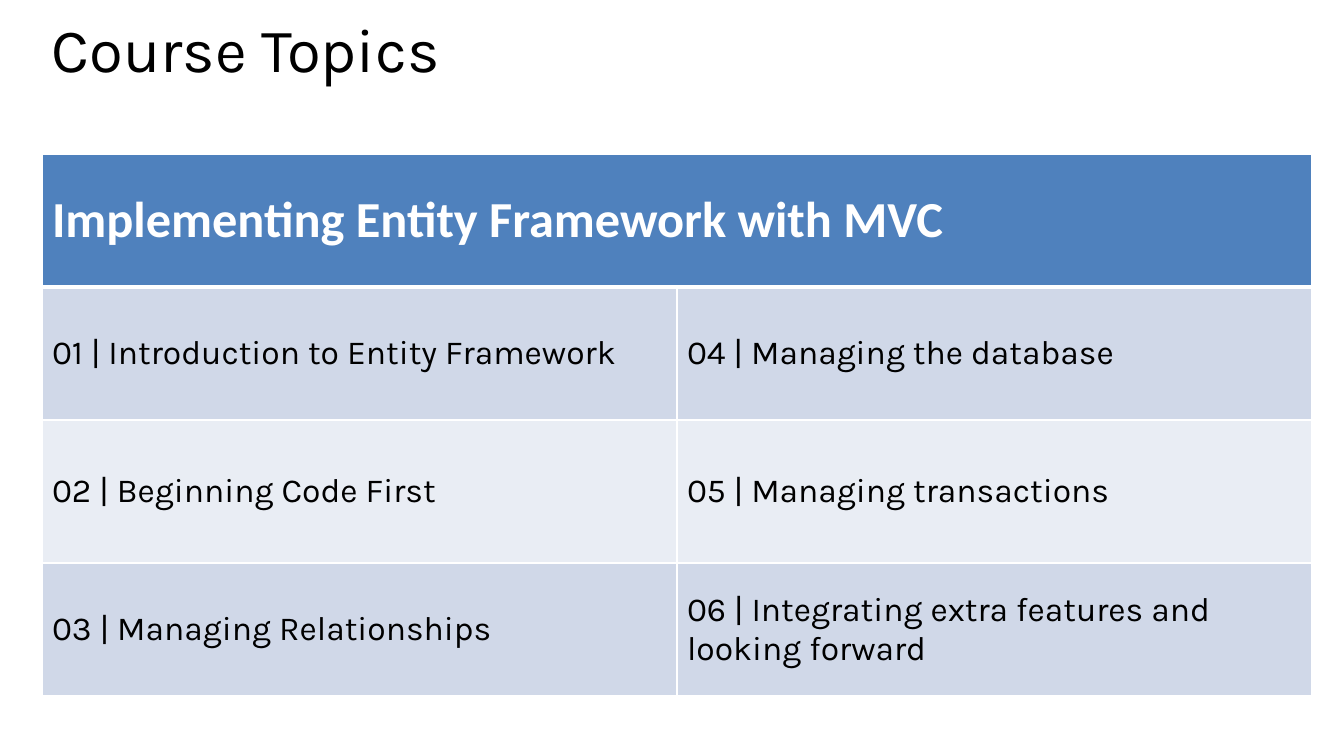
from dataclasses import dataclass

from pptx import Presentation
from pptx.dml.color import RGBColor
from pptx.enum.text import MSO_ANCHOR
from pptx.oxml import parse_xml
from pptx.oxml.ns import nsdecls
from pptx.util import Emu, Pt

EMU_PER_PIXEL = 914400 / 100.8


def px(pixels):
    return Emu(round(pixels * EMU_PER_PIXEL))


@dataclass(frozen=True)
class Theme:
    title_font: str = "Karla"
    header_font: str = "Calibri"
    title_size: int = 44
    header_size: int = 36
    topic_size: int = 24
    ink: str = "000000"
    white: str = "FFFFFF"
    header_fill: str = "4F81BD"
    bands: tuple = ("D0D8E8", "E9EDF4")
    border: int = 1
    header_rule: int = 3


class SlideBuilder:
    def __init__(self, deck, theme):
        self.theme = theme
        self.page = deck.slides.add_slide(deck.slide_layouts[6])

    def style(self, frame, font, size, color, bold=False):
        for para in frame.paragraphs:
            for span in para.runs:
                span.font.name = font
                span.font.size = Pt(size)
                span.font.bold = bold
                span.font.color.rgb = RGBColor.from_string(color)

    def title(self, text, left, top, width, height):
        box = self.page.shapes.add_textbox(px(left), px(top), px(width), px(height))
        frame = box.text_frame
        frame.word_wrap = True
        frame.text = text
        frame.paragraphs[0].line_spacing = 0.8
        self.style(frame, self.theme.title_font, self.theme.title_size, self.theme.ink)

    def borders(self, cell, top, bottom):
        properties = cell._tc.get_or_add_tcPr()
        thin = self.theme.border
        for side, points in (("L", thin), ("R", thin), ("T", top), ("B", bottom)):
            properties.append(parse_xml(
                f'<a:ln{side} {nsdecls("a")} w="{Pt(points)}"><a:solidFill>'
                f'<a:srgbClr val="{self.theme.white}"/></a:solidFill></a:ln{side}>'))

    def cell(self, cell, fill, top, bottom):
        self.borders(cell, top, bottom)
        cell.fill.solid()
        cell.fill.fore_color.rgb = RGBColor.from_string(fill)
        cell.vertical_anchor = MSO_ANCHOR.MIDDLE

    def topic_table(self, heading, topics, left, top, column_width, row_heights):
        theme = self.theme
        columns = len(topics[0])
        table = self.page.shapes.add_table(
            len(row_heights), columns, px(left), px(top),
            px(column_width * columns), px(sum(row_heights))).table
        for column in table.columns:
            column.width = px(column_width)
        for row, height in zip(table.rows, row_heights):
            row.height = px(height)

        table.cell(0, 0).merge(table.cell(0, columns - 1))
        for column in range(columns):
            self.cell(table.cell(0, column), theme.header_fill, theme.border, theme.header_rule)
        header = table.cell(0, 0).text_frame
        header.text = heading
        self.style(header, theme.header_font, theme.header_size, theme.white, True)

        for row, names in enumerate(topics, 1):
            fill = theme.bands[(row - 1) % len(theme.bands)]
            rule = theme.header_rule if row == 1 else theme.border
            for column, name in enumerate(names):
                cell = table.cell(row, column)
                self.cell(cell, fill, rule, theme.border)
                cell.text_frame.text = f"{column * len(topics) + row:02} | {name}"
                self.style(cell.text_frame, theme.title_font, theme.topic_size, theme.ink)


TOPICS = [
    ("Introduction to Entity Framework", "Managing the database"),
    ("Beginning Code First", "Managing transactions"),
    ("Managing Relationships", "Integrating extra features and looking forward"),
]

deck = Presentation()
deck.slide_width, deck.slide_height = px(1344), px(756)
builder = SlideBuilder(deck, Theme())
builder.title("Course Topics", 42, 20, 1270, 117)
builder.topic_table("Implementing Entity Framework with MVC", TOPICS,
                    42, 154, 635, (133, 133, 143, 133))
deck.save("out.pptx")
